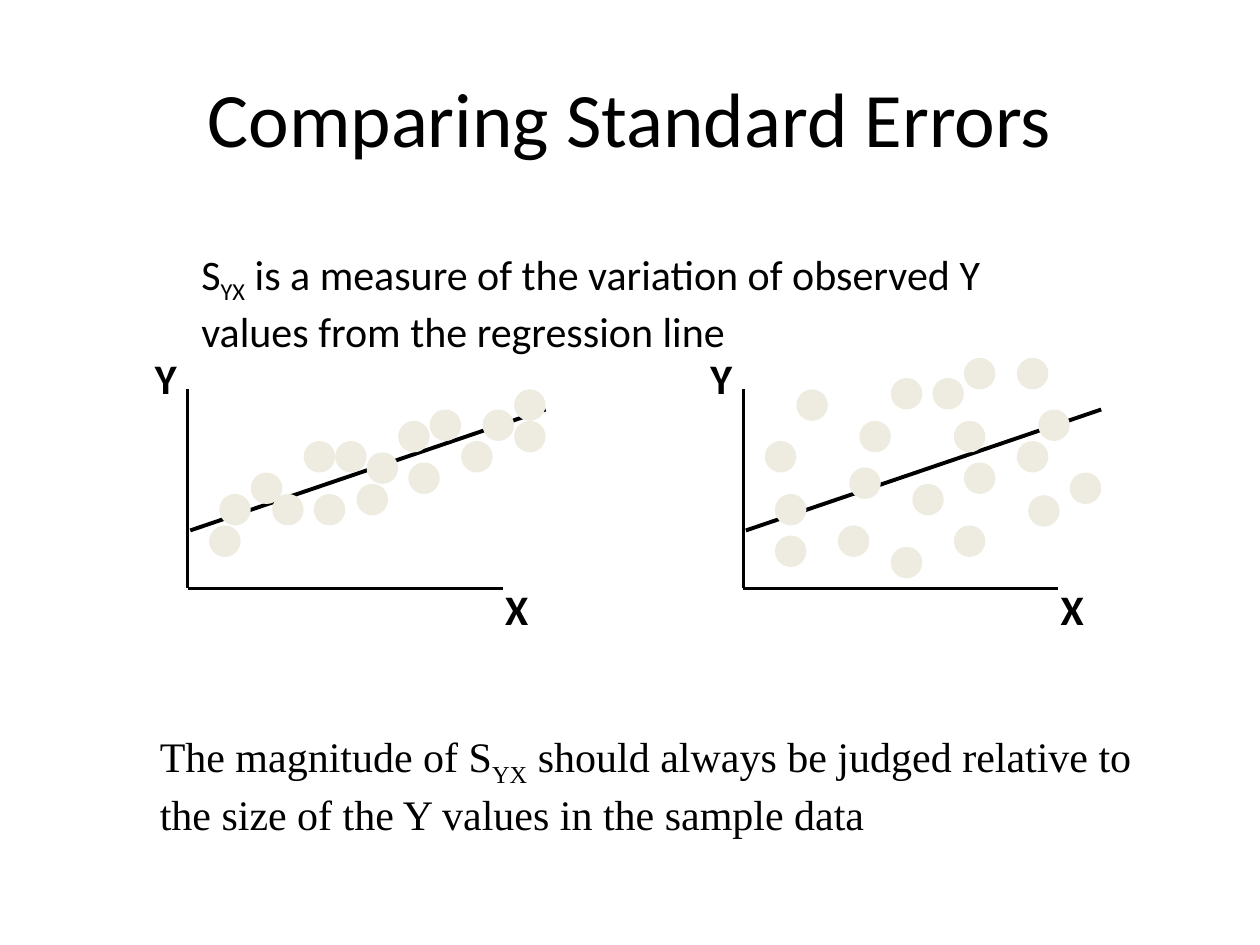
import pptx
import pptx.util
import pptx.dml.color
import pptx.enum.shapes
import pptx.enum.text
import pptx.oxml.ns
import lxml.etree

Inches = pptx.util.Inches
Pt = pptx.util.Pt
COLORS = {name: pptx.dml.color.RGBColor.from_string(value)
          for name, value in {"ink": "000000", "dot": "EEECE1"}.items()}
DOT_SIZE = 0.25

# Observations: left and top of each dot
close_fit = [
    (1.66, 4.17), (1.74, 3.92), (4.08, 3.09), (3.83, 3.25), (2.16, 3.92),
    (3.66, 3.5), (3.41, 3.25), (1.99, 3.75), (2.41, 3.5), (3.24, 3.67),
    (2.83, 3.84), (2.49, 3.92), (2.91, 3.59), (3.16, 3.34), (2.66, 3.5),
    (4.08, 3.34),
]
loose_fit = [
    (6.15, 4.25), (6.15, 3.92), (8.07, 2.84), (8.24, 3.25), (6.65, 4.17),
    (8.07, 3.5), (7.57, 4.17), (7.65, 2.84), (7.07, 3), (6.07, 3.5),
    (6.32, 3.09), (6.74, 3.71), (7.65, 3.67), (7.24, 3.84), (7.07, 4.34),
    (8.49, 3.75), (7.57, 3.34), (7.4, 3), (6.82, 3.34), (8.16, 3.93),
]

presentation = pptx.Presentation()
presentation.slide_width = Inches(10)
presentation.slide_height = Inches(7.5)
slide = presentation.slides.add_slide(presentation.slide_layouts[5])


def add_text(left, top, width, height, pieces, font_name, bold=False, wrap=True):
    """Add a 24 pt text box; every second piece is a subscript."""
    frame = slide.shapes.add_textbox(
        Inches(left), Inches(top), Inches(width), Inches(height)).text_frame
    frame.word_wrap = wrap
    frame.auto_size = pptx.enum.text.MSO_AUTO_SIZE.SHAPE_TO_FIT_TEXT
    paragraph = frame.paragraphs[0]
    for index, piece in enumerate(pieces):
        run = paragraph.add_run()
        run.text = piece
        if index % 2:
            run.font._element.set("baseline", "-25000")
    paragraph.font.name = font_name
    paragraph.font.size = Pt(24)
    paragraph.font.bold = bold
    paragraph.font.color.rgb = COLORS["ink"]


def add_line(x1, y1, x2, y2, weight):
    line = slide.shapes.add_connector(
        pptx.enum.shapes.MSO_CONNECTOR.STRAIGHT,
        Inches(x1), Inches(y1), Inches(x2), Inches(y2))
    line.line.color.rgb = COLORS["ink"]
    line.line.width = Pt(weight)
    lxml.etree.SubElement(line._element.spPr, pptx.oxml.ns.qn("a:effectLst"))


# Title
title = slide.shapes.title
title.left, title.top = Inches(0.5), Inches(0.3)
title.width, title.height = Inches(9), Inches(1.25)
title.text_frame.text = "Comparing Standard Errors"
title.text_frame.vertical_anchor = pptx.enum.text.MSO_ANCHOR.MIDDLE
heading = title.text_frame.paragraphs[0]
heading.alignment = pptx.enum.text.PP_ALIGN.CENTER
heading.font.name = "Calibri"
heading.font.size = Pt(44)
heading.font.color.rgb = COLORS["ink"]

# Scatter plots: axes, regression line, observations, axis labels
for origin, observations in ((1.49, close_fit), (5.9, loose_fit)):
    add_line(origin, 3.09, origin, 4.67, 2)
    add_line(origin, 4.67, origin + 2.5, 4.67, 2)
    add_line(origin + 0.02, 4.21, origin + 2.84, 3.25, 2.25)
    for left, top in observations:
        dot = slide.shapes.add_shape(
            pptx.enum.shapes.MSO_SHAPE.OVAL, Inches(left), Inches(top),
            Inches(DOT_SIZE), Inches(DOT_SIZE))
        dot.shadow.inherit = False
        dot.fill.solid()
        dot.fill.fore_color.rgb = COLORS["dot"]
        dot.line.fill.background()
    add_text(origin - 0.36, 2.75, 0.42, 0.5, ["Y"], "Calibri", bold=True, wrap=False)
    add_text(origin + 2.42, 4.58, 0.42, 0.5, ["X"], "Calibri", bold=True, wrap=False)

# Explanations
add_text(1.5, 1.92, 7, 0.9,
         ["S", "YX", " is a measure of the variation of observed Y values "
          "from the regression line"], "Calibri")
add_text(1.17, 5.75, 8.17, 0.9,
         ["The magnitude of S", "YX", " should always be judged relative to "
          "the size of the Y values in the sample data"], "Times New Roman")

presentation.save("out.pptx")
